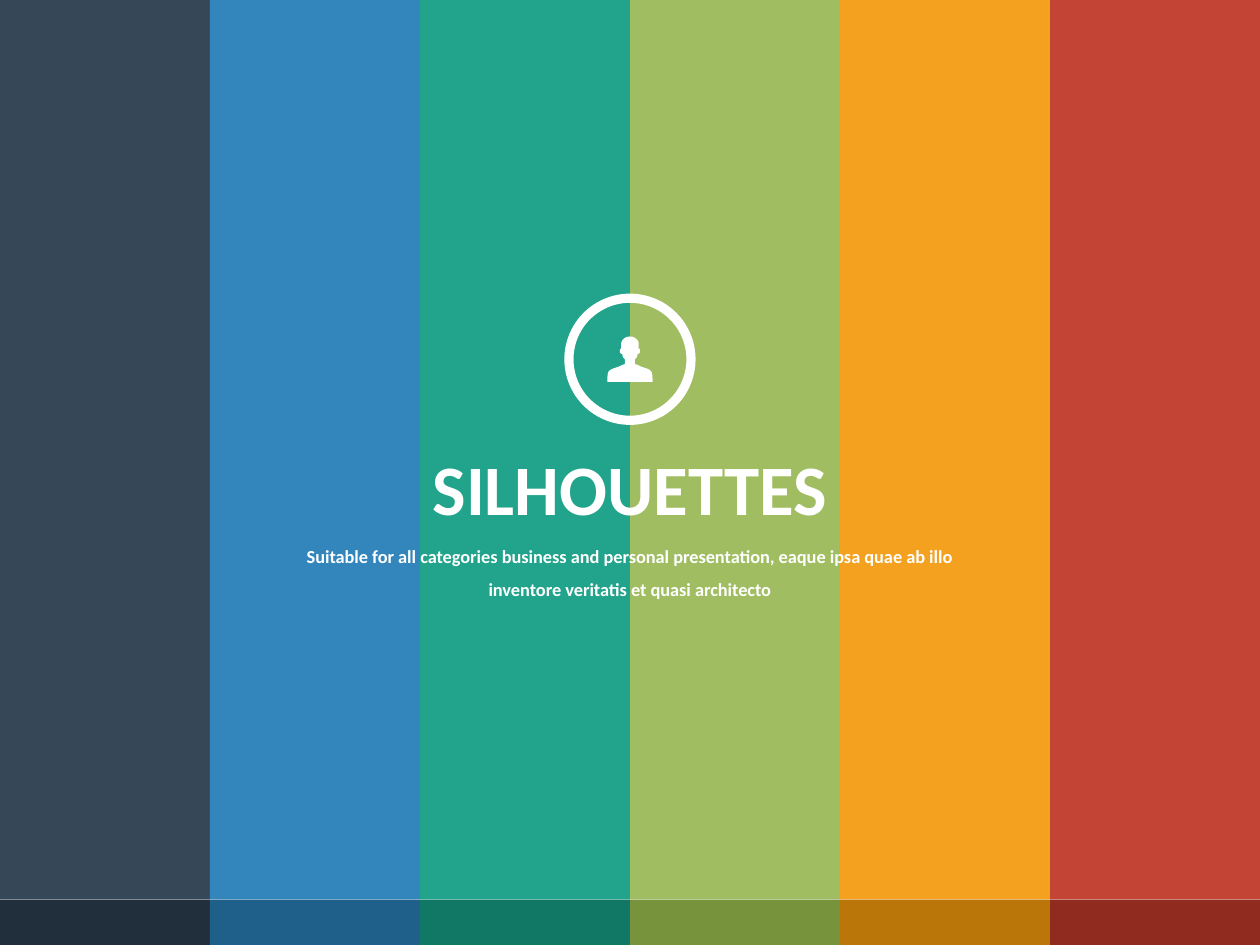
from lxml import etree
from pptx import Presentation
from pptx.dml.color import RGBColor
from pptx.enum.shapes import MSO_SHAPE
from pptx.enum.text import MSO_AUTO_SIZE, PP_ALIGN
from pptx.oxml.ns import qn
from pptx.util import Pt

RECTANGLE = MSO_SHAPE.RECTANGLE
DONUT = MSO_SHAPE.DONUT
CENTER = PP_ALIGN.CENTER
FIT_SHAPE = MSO_AUTO_SIZE.SHAPE_TO_FIT_TEXT

THEME = {
    "font": "Calibri",
    "white": "FFFFFF",
    "title_size": 40.5,
    "subtitle_size": 10.5,
    "stripes": ["2C3F50", "2980B9", "16A085", "9BBB59", "F39C12", "C0392B"],
    "footers": ["212F3C", "1F608B", "107864", "77933C", "BA7609", "902B20"],
}

SLIDE_WIDTH, SLIDE_HEIGHT = 720, 540
STRIPE_WIDTH = SLIDE_WIDTH / len(THEME["stripes"])
STRIPE_HEIGHT = 514
CENTER_X = SLIDE_WIDTH / 2


def paint(shape, color):
    shape.shadow.inherit = False
    shape.fill.solid()
    shape.fill.fore_color.rgb = RGBColor.from_string(color)
    shape.line.fill.background()


def add_label(slide, box, text, size, wrap, line_spacing):
    shape = slide.shapes.add_textbox(*[Pt(length) for length in box])
    frame = shape.text_frame
    frame.word_wrap = wrap
    frame.auto_size = FIT_SHAPE
    paragraph = frame.paragraphs[0]
    paragraph.alignment = CENTER
    paragraph.line_spacing = line_spacing
    run = paragraph.add_run()
    run.text = text
    run.font.name = THEME["font"]
    run.font.size = Pt(size)
    run.font.bold = True
    run.font.color.rgb = RGBColor.from_string(THEME["white"])


presentation = Presentation()
presentation.slide_width = Pt(SLIDE_WIDTH)
presentation.slide_height = Pt(SLIDE_HEIGHT)
slide = presentation.slides.add_slide(presentation.slide_layouts[6])

for index, color in enumerate(THEME["stripes"]):
    stripe = slide.shapes.add_shape(
        RECTANGLE, Pt(index * STRIPE_WIDTH), 0, Pt(STRIPE_WIDTH), Pt(STRIPE_HEIGHT))
    paint(stripe, color)
    color_element = stripe.fill._xPr.find(qn("a:solidFill"))[0]
    etree.SubElement(color_element, qn("a:alpha"), val="95000")

footer_group = slide.shapes.add_group_shape()
for index, color in enumerate(THEME["footers"]):
    footer = footer_group.shapes.add_shape(
        RECTANGLE, Pt(index * STRIPE_WIDTH), Pt(STRIPE_HEIGHT),
        Pt(STRIPE_WIDTH), Pt(SLIDE_HEIGHT - STRIPE_HEIGHT))
    paint(footer, color)

add_label(slide, (239, 250.5, 242, 56), "SILHOUETTES", THEME["title_size"], False, 1.0)
add_label(
    slide, (157.5, 301.5, 405, 45.5),
    "Suitable for all categories business and personal presentation, "
    "eaque ipsa quae ab illo inventore veritatis et quasi architecto",
    THEME["subtitle_size"], True, 1.5)

RING_SIZE = 75
ring = slide.shapes.add_shape(
    DONUT, Pt(CENTER_X - RING_SIZE / 2), Pt(167.8), Pt(RING_SIZE), Pt(RING_SIZE))
ring.adjustments[0] = 0.07
paint(ring, THEME["white"])

PERSON_TOP = 192.3
PERSON_UNIT = 0.72
CURVE_STEPS = 6
person_curves = [
    [(4, 0), (7, 3), (7, 6)],
    [(7, 7), (7, 8), (7, 10)],
    [(8, 9), (8, 11), (8, 12)],
    [(8, 13), (7, 14), (6, 14)],
    [(6, 17), (4, 18), (4, 18)],
    [(4, 22), (4, 22), (4, 22)],
    [(4, 22), (5, 22), (9, 24)],
    [(12, 25), (16, 26), (17, 28)],
    [(18, 29), (18, 36), (18, 36)],
]
right_side = [(0, 0)]
for first, second, end in person_curves:
    start = right_side[-1]
    for step in range(1, CURVE_STEPS + 1):
        t = step / CURVE_STEPS
        weights = ((1 - t) ** 3, 3 * t * (1 - t) ** 2, 3 * t ** 2 * (1 - t), t ** 3)
        controls = (start, first, second, end)
        right_side.append(tuple(
            sum(weight * point[axis] for weight, point in zip(weights, controls))
            for axis in (0, 1)))
left_side = [(-x, y) for x, y in reversed(right_side[1:])]
outline = [
    (Pt(CENTER_X + x * PERSON_UNIT), Pt(PERSON_TOP + y * PERSON_UNIT))
    for x, y in right_side + left_side
]
builder = slide.shapes.build_freeform(*outline[0])
builder.add_line_segments(outline[1:], close=True)
paint(builder.convert_to_shape(), THEME["white"])

presentation.save("out.pptx")
